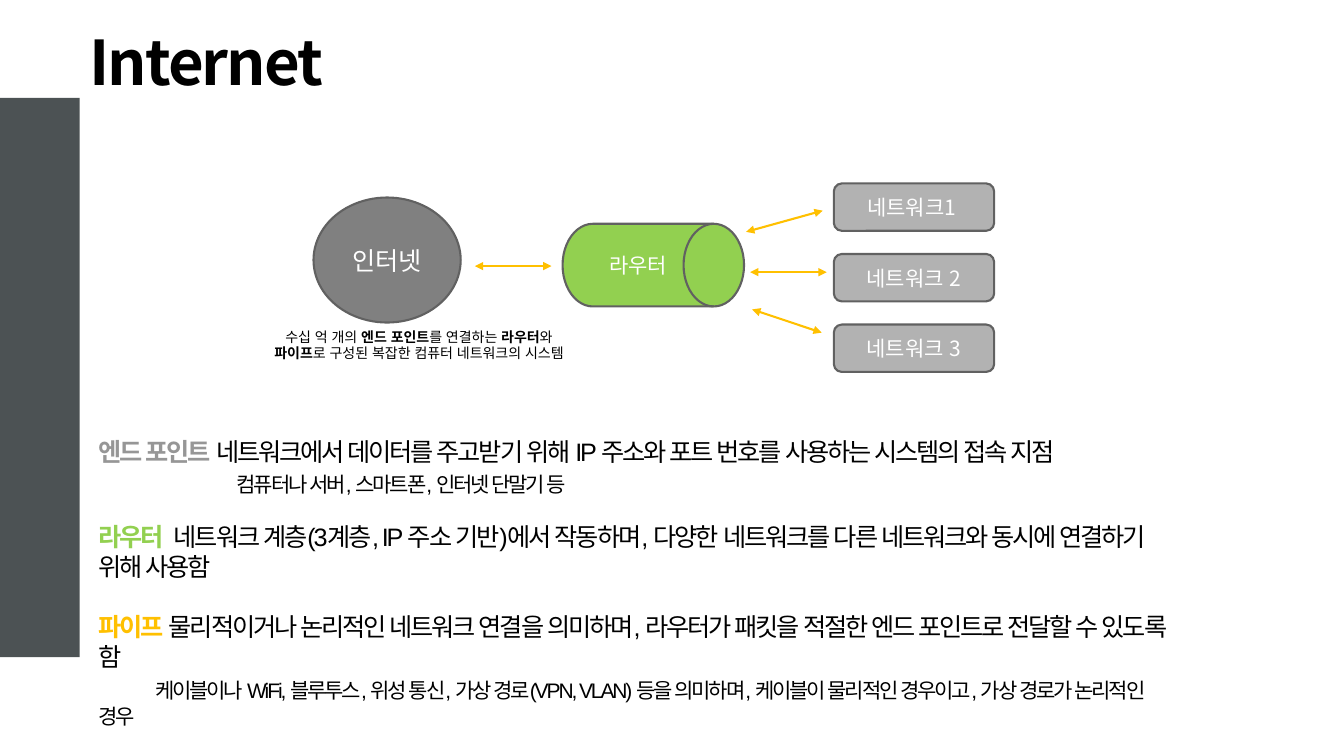
from pptx import Presentation
from pptx.dml.color import RGBColor
from pptx.enum.lang import MSO_LANGUAGE_ID as LANG
from pptx.enum.shapes import MSO_CONNECTOR, MSO_SHAPE
from pptx.enum.text import MSO_ANCHOR, PP_ALIGN
from pptx.oxml.ns import qn
from pptx.util import Inches, Pt
from lxml.etree import SubElement

BLACK = RGBColor(0x00, 0x00, 0x00)
WHITE = RGBColor(0xFF, 0xFF, 0xFF)
SLATE = RGBColor(0x4C, 0x52, 0x54)
OUTLINE = RGBColor(0x61, 0x61, 0x61)
DARK_GREY = RGBColor(0x80, 0x80, 0x80)
LABEL_GREY = RGBColor(0x96, 0x96, 0x96)
LIGHT_GREY = RGBColor(0xB2, 0xB2, 0xB2)
GREEN = RGBColor(0x92, 0xD0, 0x50)
AMBER = RGBColor(0xFF, 0xC0, 0x00)
NOTO, LATO, ARIAL = "Noto Sans CJK KR", "Lato", "Arial"

DEFINITIONS = [
    (18, 0, 0, LABEL_GREY, "엔드 포인트 ", [
        ("네트워크에서 데이터를 주고받기 위해 ", LATO), ("IP ", ARIAL),
        ("주소와 포트 번호를 사용하는 시스템의 접속 지점", LATO)]),
    (15, 3, 1.37, None, "", [
        ("컴퓨터나 서버", LATO), (", ", ARIAL), ("스마트폰", LATO),
        (", ", ARIAL), ("인터넷 단말기 등", LATO)]),
    (18, 17.5, 0, GREEN, "라우터 \u00a0", [
        ("네트워크 계층", LATO), ("(3", ARIAL), ("계층", LATO),
        (", IP ", ARIAL), ("주소 기반", LATO), (")", ARIAL),
        ("에서 작동하며", LATO), (", 다양한 ", ARIAL),
        ("네트워크를 다른 네트워크와 동시에 연결하기 위해 사용함", LATO)]),
    (18, 21.5, 0, AMBER, "파이프 ", [
        ("물리적이거나 논리적인 네트워크 연결을 의미하며", LATO), (", ", ARIAL),
        ("라우터가 패킷을 적절한 엔드 포인트로 전달할 수 있도록 함", LATO)]),
    (15, 4, 0.56, None, "", [
        ("케이블이나 ", LATO), ("WiFi, ", ARIAL), ("블루투스", LATO),
        (", ", ARIAL), ("위성 통신", LATO), (", ", ARIAL),
        ("가상 경로", LATO), ("(VPN, VLAN) ", ARIAL),
        ("등을 의미하며", LATO), (", ", ARIAL),
        ("케이블이 물리적인 경우이고", LATO), (", ", ARIAL),
        ("가상 경로가 논리적인 경우", LATO)]),
]


def add_run(p, text, size, color=BLACK, font=NOTO, bold=False, spacing=0):
    """Append one formatted Korean or Latin run to a paragraph."""
    r = p.add_run()
    r.text = text
    r.font.size, r.font.bold, r.font.name = Pt(size), bold, font
    r.font.color.rgb = color
    r.font.language_id = LANG.KOREAN
    rPr = r.font._element
    SubElement(rPr, qn("a:ea")).set("typeface", NOTO)
    if spacing:
        rPr.set("spc", str(round(spacing * 100)))


def add_node(slide, kind, box, fill, line=None, text="", size=15):
    """Draw a filled shape with an optional outline and centred label."""
    s = slide.shapes.add_shape(kind, *map(Inches, box))
    s.shadow.inherit = False
    s.fill.solid()
    s.fill.fore_color.rgb = fill
    if line is None:
        s.line.fill.background()
    else:
        s.line.color.rgb = line
        s.line.width = Pt(1.5)
    if text:
        tf = s.text_frame
        tf.vertical_anchor = MSO_ANCHOR.MIDDLE
        p = tf.paragraphs[0]
        p.alignment = PP_ALIGN.CENTER
        add_run(p, text, size, WHITE)


def add_pipe(slide, start, end):
    """Draw a double-headed amber arrow."""
    c = slide.shapes.add_connector(
        MSO_CONNECTOR.STRAIGHT, *map(Inches, (*start, *end)))
    c.line.color.rgb = AMBER
    c.line.width = Pt(1.5)
    ln = c.line._get_or_add_ln()
    for tag in ("a:headEnd", "a:tailEnd"):
        SubElement(ln, qn(tag)).set("type", "triangle")
    SubElement(c._element.spPr, qn("a:effectLst"))


def add_text_box(slide, box):
    """Add a wrapping text box and return its frame."""
    tf = slide.shapes.add_textbox(*map(Inches, box)).text_frame
    tf.word_wrap = True
    return tf


def add_title(slide, box, text):
    """Place and format the title placeholder."""
    title = slide.shapes.title
    title.left, title.top, title.width, title.height = map(Inches, box)
    tf = title.text_frame
    tf.vertical_anchor = MSO_ANCHOR.MIDDLE
    p = tf.paragraphs[0]
    p.alignment = PP_ALIGN.LEFT
    p.line_spacing = 0.9
    add_run(p, text, 44, bold=True, spacing=-1.5)


def add_caption(slide, box):
    """Write the short definition under the internet node."""
    p = add_text_box(slide, box).paragraphs[0]
    p.alignment = PP_ALIGN.CENTER
    p.line_spacing = Pt(11.5)
    parts = ("수십 억 개의 ", "엔드 포인트", "를 연결하는 ", "라우터", "와 ",
             "파이프", "로 구성된 복잡한 컴퓨터 네트워크의 시스템")
    for i, text in enumerate(parts):
        add_run(p, text, 10, font=LATO, bold=i % 2 == 1)


def add_diagram(slide, box):
    """Draw the internet, the router, three networks and their pipes."""
    x, y, w, h = box
    add_node(slide, MSO_SHAPE.OVAL, (x + 0.51, y + 0.14, 1.46, 1.24),
             DARK_GREY, OUTLINE, "인터넷", 18)
    add_node(slide, MSO_SHAPE.FLOWCHART_DIRECT_ACCESS_STORAGE,
             (x + 2.98, y + 0.4, 1.8, 0.82), GREEN, OUTLINE, "라우터")
    networks = ("네트워크1 ", "네트워크 2", "네트워크 3")
    for i, text in enumerate(networks):
        add_node(slide, MSO_SHAPE.ROUNDED_RECTANGLE,
                 (x + w - 1.59, y + 0.7 * i, 1.59, 0.47),
                 LIGHT_GREY, OUTLINE, text)
    pipes = (((4.8, 0.48), (5.56, 0.27)), ((4.84, 0.88), (5.6, 0.88)),
             ((4.86, 1.25), (5.55, 1.48)), ((2.11, 0.82), (2.87, 0.82)))
    for (x1, y1), (x2, y2) in pipes:
        add_pipe(slide, (x + x1, y + y1), (x + x2, y + y2))
    add_caption(slide, (x, y + h - 0.44, 3.11, 0.44))


def add_definitions(slide, box):
    """Write the coloured terms with their explanations and examples."""
    tf = add_text_box(slide, box)
    for i, (size, before, indent, color, term, parts) in enumerate(DEFINITIONS):
        p = tf.add_paragraph() if i else tf.paragraphs[0]
        p.space_before = Pt(before)
        p.line_spacing = Pt(21.5 if size == 18 else 18.5)
        if indent:
            p._p.get_or_add_pPr().set("indent", str(Inches(indent)))
        if term:
            add_run(p, term, size, color, bold=True, spacing=-1.5)
        for text, font in parts:
            add_run(p, text, size, font=font, spacing=-1.5)


def main():
    """Build and save the slide."""
    prs = Presentation()
    prs.slide_width, prs.slide_height = Inches(13.33), Inches(7.5)
    slide = prs.slides.add_slide(prs.slide_layouts[5])
    add_node(slide, MSO_SHAPE.RECTANGLE, (0, 0.97, 0.79, 5.55), SLATE)
    add_diagram(slide, (2.6, 1.82, 7.26, 1.84))
    add_definitions(slide, (0.88, 4.28, 10.93, 2.78))
    add_title(slide, (0.79, -0.07, 11.5, 1.45), "Internet")
    prs.save("out.pptx")


if __name__ == "__main__":
    main()
